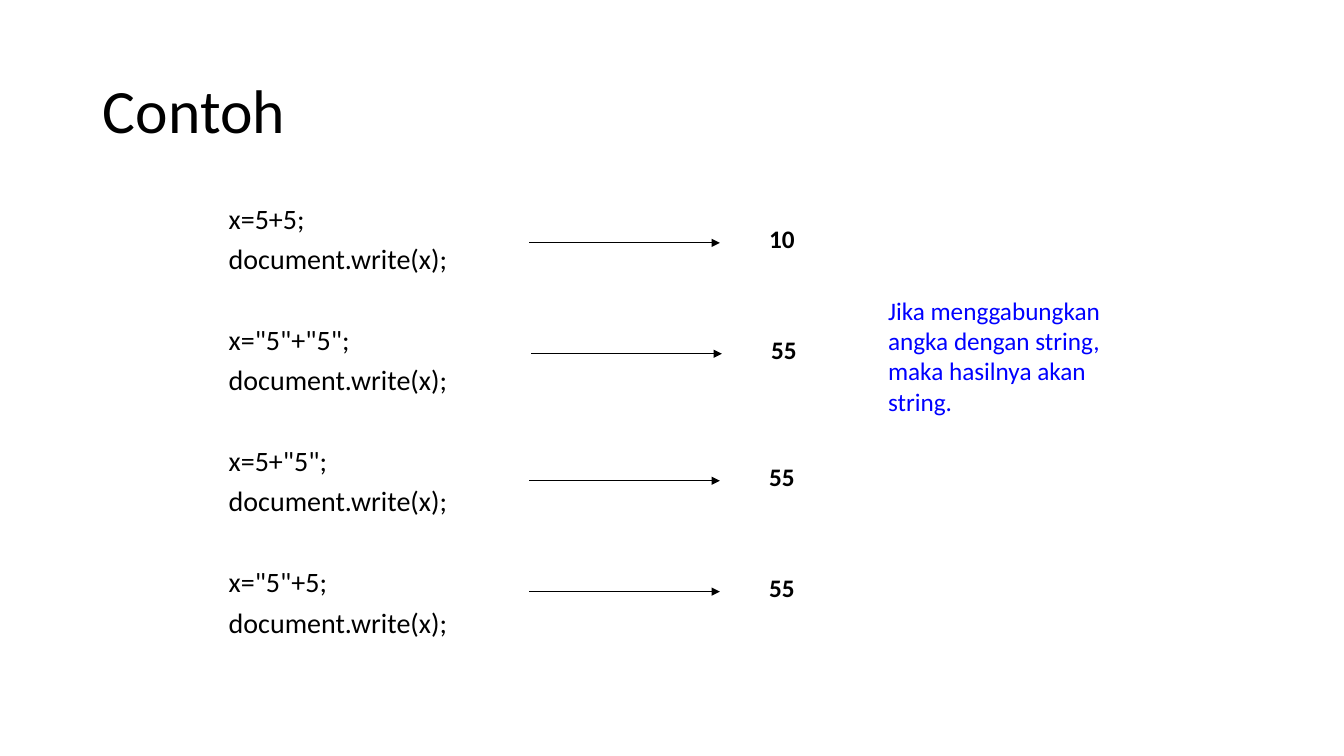
from lxml import etree
from pptx import Presentation
from pptx.dml.color import RGBColor
from pptx.enum.shapes import MSO_CONNECTOR
from pptx.enum.text import MSO_ANCHOR, MSO_AUTO_SIZE
from pptx.oxml.ns import qn
from pptx.util import Inches, Pt

COLORS = {"ink": "000000", "note": "0000FF"}
FONT = "Calibri"
WRITE = "document.write(x);"
EXAMPLES = [
    ("x=5+5;", "10", 5.25, 2.41),
    ('x="5"+"5";', "55", 5.27, 3.51),
    ('x=5+"5";', "55", 5.25, 4.77),
    ('x="5"+5;', "55", 5.25, 5.87),
]
NOTE = "Jika menggabungkan angka dengan string, maka hasilnya akan string."


def add_run(paragraph, text, size, color="ink", bold=False):
    run = paragraph.add_run()
    run.text = text
    run.font.name = FONT
    run.font.size = Pt(size)
    run.font.bold = bold
    run.font.color.rgb = RGBColor.from_string(COLORS[color])


def add_frame(slide, left, top, width, height, wrap=True):
    box = slide.shapes.add_textbox(Inches(left), Inches(top), Inches(width), Inches(height))
    box.text_frame.word_wrap = wrap
    return box.text_frame


def set_title(slide, text):
    title = slide.shapes.title
    title.left, title.top = Inches(0.92), Inches(0.4)
    title.width, title.height = Inches(11.5), Inches(1.45)
    title.text_frame.vertical_anchor = MSO_ANCHOR.MIDDLE
    heading = title.text_frame.paragraphs[0]
    heading.alignment = 1
    heading.line_spacing = 0.9
    add_run(heading, text, 44)


def add_code(slide):
    frame = add_frame(slide, 2.17, 1.88, 4.26, 4.82)
    for index, (assignment, *_) in enumerate(EXAMPLES):
        snippet = frame.add_paragraph() if index else frame.paragraphs[0]
        snippet.line_spacing = 1.2
        snippet.space_after = Pt(29)
        add_run(snippet, assignment, 20)
        snippet.add_line_break()
        add_run(snippet, WRITE, 20)


def add_arrow(slide, left, y):
    arrow = slide.shapes.add_connector(
        MSO_CONNECTOR.STRAIGHT, Inches(left), Inches(y), Inches(left + 1.89), Inches(y))
    arrow.line.color.rgb = RGBColor.from_string(COLORS["ink"])
    arrow.line.width = Pt(0.75)
    etree.SubElement(arrow.line._get_or_add_ln(), qn("a:tailEnd"), type="triangle")
    etree.SubElement(arrow._element.spPr, qn("a:effectLst"))


def add_result(slide, text, left, top):
    frame = add_frame(slide, left, top, 0.45, 0.4, wrap=False)
    frame.auto_size = MSO_AUTO_SIZE.SHAPE_TO_FIT_TEXT
    add_run(frame.paragraphs[0], text, 18, bold=True)


def add_note(slide):
    frame = add_frame(slide, 8.71, 2.88, 2.36, 1.3)
    frame.auto_size = MSO_AUTO_SIZE.SHAPE_TO_FIT_TEXT
    add_run(frame.paragraphs[0], NOTE, 18, "note")


def main():
    deck = Presentation()
    deck.slide_width, deck.slide_height = Inches(13.33), Inches(7.5)
    slide = deck.slides.add_slide(deck.slide_layouts[5])
    set_title(slide, "Contoh")
    add_code(slide)
    for _, result, left, y in EXAMPLES:
        add_arrow(slide, left, y)
        add_result(slide, result, left + 2.28, y - 0.24)
    add_note(slide)
    deck.save("out.pptx")


if __name__ == "__main__":
    main()
